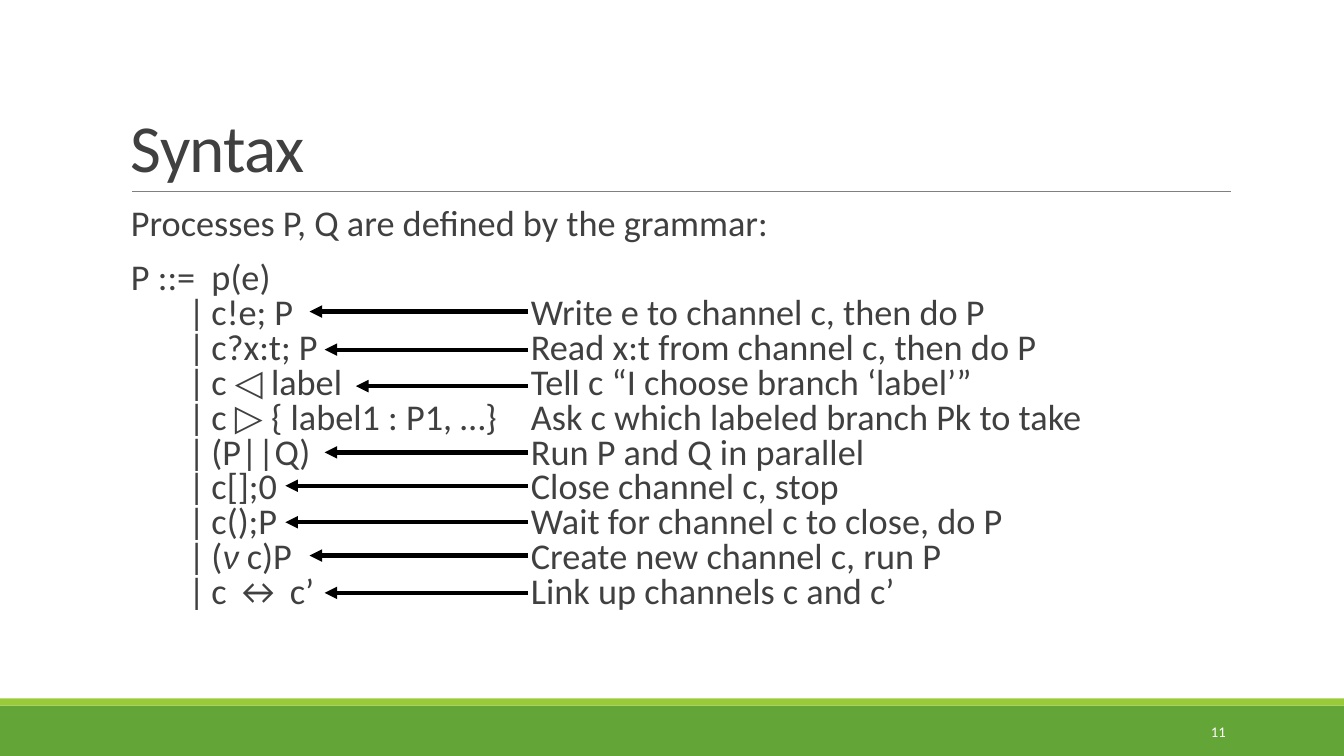
from lxml import etree
from pptx import Presentation
from pptx.dml.color import RGBColor
from pptx.enum.shapes import MSO_CONNECTOR, MSO_SHAPE
from pptx.enum.text import MSO_ANCHOR, PP_ALIGN
from pptx.oxml.ns import qn
from pptx.util import Cm, Pt

STRAIGHT = MSO_CONNECTOR.STRAIGHT
RECTANGLE = MSO_SHAPE.RECTANGLE
TOP, MIDDLE, BOTTOM = MSO_ANCHOR.TOP, MSO_ANCHOR.MIDDLE, MSO_ANCHOR.BOTTOM
LEFT, RIGHT = PP_ALIGN.LEFT, PP_ALIGN.RIGHT

INK, WHITE, BLACK, GREY = "404040", "FFFFFF", "000000", "808080"
GREEN, LIME = "63A537", "99CB38"
WIDTH, HEIGHT = 33.87, 19.05
BAR_TAB, TERM_TAB, MEANING_TAB = 1.45, 2.03, 10.08
ARROW_START = 13.31


def color(value):
    return RGBColor.from_string(value)


class SlideBuilder:
    """Hold the text style and the current slide, and add elements to it."""

    def __init__(self, slide, font):
        self.slide = slide
        self.font = font

    def band(self, top, height, fill):
        band = self.slide.shapes.add_shape(RECTANGLE, 0, Cm(top), Cm(WIDTH), Cm(height))
        band.shadow.inherit = False
        band.fill.solid()
        band.fill.fore_color.rgb = color(fill)
        band.line.fill.background()

    def line(self, start, end, ink, weight, arrow=False):
        line = self.slide.shapes.add_connector(STRAIGHT, *map(Cm, start + end))
        line.line.color.rgb = color(ink)
        line.line.width = Pt(weight)
        if arrow:
            etree.SubElement(line.line._get_or_add_ln(), qn("a:tailEnd"), type="triangle")
        etree.SubElement(line._element.spPr, qn("a:effectLst"))

    def frame(self, left, top, width, height, anchor=TOP, margin=0.25):
        box = self.slide.shapes.add_textbox(Cm(left), Cm(top), Cm(width), Cm(height))
        frame = box.text_frame
        frame.word_wrap = True
        frame.vertical_anchor = anchor
        frame.margin_left = frame.margin_right = Cm(margin)
        return frame

    def paragraph(self, frame, runs, size, ink=INK, align=LEFT, spacing=1.0,
                  before=0, after=0, tabs=(), tracking=0):
        paragraph = frame.paragraphs[0]
        if paragraph.runs:
            paragraph = frame.add_paragraph()
        paragraph.alignment = align
        paragraph.line_spacing = spacing
        paragraph.space_before, paragraph.space_after = Pt(before), Pt(after)
        if tabs:
            stops = etree.SubElement(paragraph._p.get_or_add_pPr(), qn("a:tabLst"))
            for stop in tabs:
                etree.SubElement(stops, qn("a:tab"), pos=str(int(Cm(stop))), algn="l")
        for text, italic in runs:
            run = paragraph.add_run()
            run.text = text
            run.font.name = self.font
            run.font.size = Pt(size)
            run.font.italic = italic
            run.font.color.rgb = color(ink)
            if tracking:
                run.font._element.set("spc", str(tracking))


def plain(text):
    return [(text, False)]


productions = [
    (plain("c!e; P"), "Write e to channel c, then do P", (7.8, 7.85)),
    (plain("c?x:t; P"), "Read x:t from channel c, then do P", (8.18, 8.81)),
    (plain("c ◁ label"), "Tell c “I choose branch ‘label’”", (8.97, 9.73)),
    (plain("c ▷ { label1 : P1, …}"), "Ask c which labeled branch Pk to take", None),
    (plain("(P||Q)"), "Run P and Q in parallel", (8.18, 11.4)),
    (plain("c[];0"), "Close channel c, stop", (7.19, 12.24)),
    (plain("c();P"), "Wait for channel c to close, do P", (7.19, 13.16)),
    ([("(", False), ("ν ", True), ("c)P", False)], "Create new channel c, run P", (7.8, 14)),
    (plain("c ↔ c’"), "Link up channels c and c’", (8.18, 14.94)),
]

presentation = Presentation()
presentation.slide_width, presentation.slide_height = Cm(WIDTH), Cm(HEIGHT)
builder = SlideBuilder(presentation.slides.add_slide(presentation.slide_layouts[6]), "Calibri")

builder.band(17.78, 1.27, GREEN)
builder.band(17.6, 0.18, LIME)
builder.line((3.33, 4.83), (31.01, 4.83), GREY, 0.5)

title = builder.frame(3.05, 0.79, 27.94, 4.04, BOTTOM)
builder.paragraph(title, plain("Syntax"), 48, spacing=0.85, tracking=-50)

grammar = builder.frame(3.3, 5.13, 27.69, 11.18, margin=0)
body = {"size": 25.9, "spacing": 0.8}
columns = (BAR_TAB, TERM_TAB, MEANING_TAB)
builder.paragraph(grammar, plain("Processes P, Q are defined by the grammar:"),
                  before=12, after=2, **body)
builder.paragraph(grammar, plain("P ::=\tp(e)"), before=12, tabs=columns, **body)
for term, meaning, tip in productions:
    row = plain("\t|\t") + term + plain("\t" + meaning)
    builder.paragraph(grammar, row, tabs=columns, **body)
    if tip:
        builder.line((ARROW_START, tip[1]), tip, BLACK, 3, arrow=True)

page_number = builder.frame(27.51, 17.93, 3.63, 1.02, MIDDLE)
builder.paragraph(page_number, plain("11"), 10.5, WHITE, RIGHT)

presentation.save("out.pptx")
